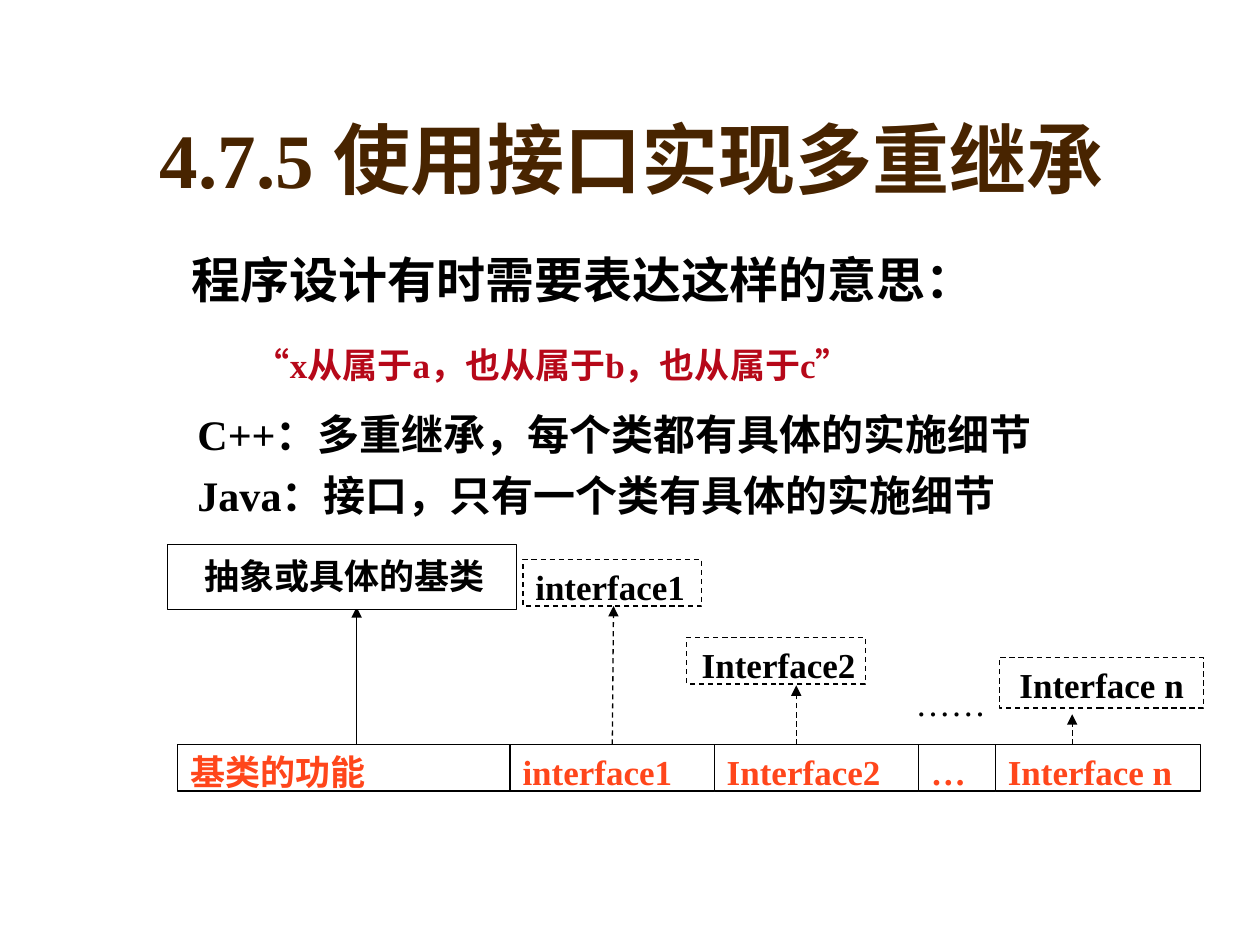
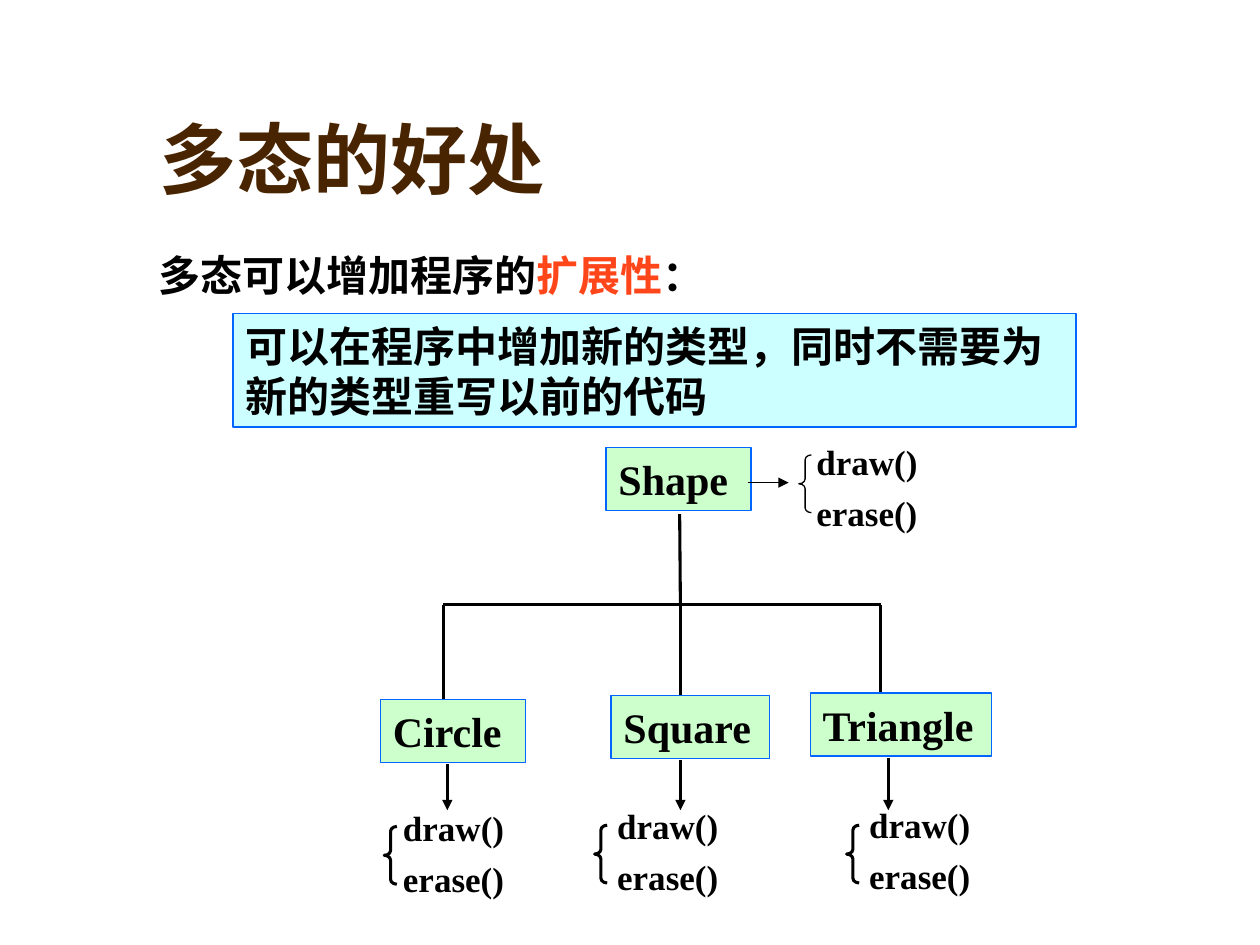
from itertools import accumulate

from lxml.etree import SubElement
from pptx import Presentation
from pptx.dml.color import RGBColor
from pptx.enum.dml import MSO_LINE
from pptx.enum.shapes import MSO_CONNECTOR, MSO_SHAPE
from pptx.enum.text import MSO_ANCHOR, PP_ALIGN
from pptx.oxml.ns import qn
from pptx.util import Pt

COLORS = {
    "title": "482400",
    "text": "000000",
    "accent": "FF461B",
    "quote": "B60819",
    "white": "FFFFFF",
    "note": "CCFFFF",
    "node": "CCFFCC",
    "border": "0066FF",
}
FONT = "Times New Roman"
TITLE_AREA = (84.2, 30.2, 612, 90)
INSET = 7.2

INHERITANCE_TITLE = "4.7.5 使用接口实现多重继承"
INTRO = "程序设计有时需要表达这样的意思："
QUOTE = "“x从属于a，也从属于b，也从属于c”"
LANGUAGES = [
    "C++：多重继承，每个类都有具体的实施细节",
    "Java：接口，只有一个类有具体的实施细节",
]
PARENTS = [
    ("抽象或具体的基类", (95.8, 311, 199.4, 37.4), (13.7, 2.2), False),
    ("interface1", (298.8, 319.7, 102.2, 26.6), (0, 0), True),
    ("Interface2", (392.4, 364.3, 102.2, 26.6), (1.4, 0), True),
    ("Interface n", (571, 375.8, 116.6, 28.8), (4.3, 0), True),
]
FEATURES = [
    ("基类的功能", 190),
    ("interface1", 116.7),
    ("Interface2", 116.7),
    ("…", 43.9),
    ("Interface n", 117.2),
]
FEATURE_LEFT, FEATURE_TOP, FEATURE_HEIGHT = 101.5, 425.5, 26.6
INHERITANCE_ARROWS = [
    (203.8, 203.8, 347, False),
    (349.9, 350.6, 346.3, True),
    (455, 455, 391.7, True),
    (612.7, 612.7, 408.2, True),
]

POLYMORPHISM_TITLE = "多态的好处"
BENEFIT = [("多态可以增加程序的", "text"), ("扩展性", "accent"), ("：", "text")]
NOTE = "可以在程序中增加新的类型，同时不需要为新的类型重写以前的代码"
METHODS = ["draw()", "erase()"]
NODE_HEIGHT = 36
ROOT = ("Shape", 346.3, 255.6, 82.8)
BUS_Y = 345.6
CHILDREN = [
    {"name": "Circle", "left": 217.4, "top": 399.6, "width": 82.8,
     "branch": 253.4, "arrow": 255.6, "brace": (219.6, 472.3), "methods": (223.2, 457.2)},
    {"name": "Square", "left": 349.2, "top": 397.4, "width": 90.7,
     "branch": 388.8, "arrow": 388.8, "brace": (339.8, 471.6), "methods": (345.6, 456.1)},
    {"name": "Triangle", "left": 463, "top": 396, "width": 103.7,
     "branch": 503.3, "arrow": 507.6, "brace": (483.8, 471.6), "methods": (489.6, 455.8)},
]


def color(name):
    return RGBColor.from_string(COLORS[name])


def style_spans(para, size, tone="text", bold=True):
    for span in para.runs:
        span.font.name = FONT
        span.font.size = Pt(size)
        span.font.bold = bold
        span.font.color.rgb = color(tone)


def write_lines(box, lines, size, tone="text", gap=0, bold=True, offset=(0, 0)):
    frame = box.text_frame
    frame.word_wrap = True
    frame.vertical_anchor = MSO_ANCHOR.TOP
    frame.margin_left = Pt(INSET + offset[0])
    frame.margin_top = Pt(INSET / 2 + offset[1])
    frame.margin_right = Pt(0)
    frame.text = "\n".join(lines)
    for index, para in enumerate(frame.paragraphs):
        para.alignment = PP_ALIGN.LEFT
        para.space_before = Pt(gap if index else 0)
        style_spans(para, size, tone, bold)


def add_text(page, area, lines, size, **style):
    box = page.shapes.add_textbox(*map(Pt, area))
    write_lines(box, lines, size, **style)
    return box


def add_box(page, area, text, size, fill="white", border="text", dashed=False, **style):
    box = page.shapes.add_shape(MSO_SHAPE.RECTANGLE, *map(Pt, area))
    box.shadow.inherit = False
    box.fill.solid()
    box.fill.fore_color.rgb = color(fill)
    box.line.color.rgb = color(border)
    box.line.width = Pt(0.75)
    if dashed:
        box.line.dash_style = MSO_LINE.DASH
    write_lines(box, [text], size, **style)
    return box


def add_line(page, start, end, width=1.75, dashed=False, arrow=False):
    line = page.shapes.add_connector(MSO_CONNECTOR.STRAIGHT, *map(Pt, start + end))
    line.line.color.rgb = color("text")
    line.line.width = Pt(width)
    if dashed:
        line.line.dash_style = MSO_LINE.DASH
    if arrow:
        SubElement(line.line._get_or_add_ln(), qn("a:tailEnd"), type="triangle")
    SubElement(line._element.spPr, qn("a:effectLst"))


def add_methods(page, brace_at, text_at, width=1.75):
    brace = page.shapes.add_shape(MSO_SHAPE.LEFT_BRACE, *map(Pt, brace_at + (7.2, 33)))
    brace.adjustments[0] = 0.38
    brace.shadow.inherit = False
    brace.fill.background()
    brace.line.color.rgb = color("text")
    brace.line.width = Pt(width)
    add_text(page, text_at + (94, 60.5), METHODS, 20, gap=5)


def add_node(page, name, left, top, width):
    add_box(page, (left, top, width, NODE_HEIGHT), name, 24, "node", "border")


def add_page(deck, title):
    page = deck.slides.add_slide(deck.slide_layouts[5])
    box = page.shapes.title
    box.left, box.top, box.width, box.height = map(Pt, TITLE_AREA)
    write_lines(box, [title], 44, "title")
    box.text_frame.vertical_anchor = MSO_ANCHOR.BOTTOM
    return page


def build_inheritance(deck):
    page = add_page(deck, INHERITANCE_TITLE)
    body = add_text(page, (83.5, 139, 612, 90), [INTRO, QUOTE], 28, gap=20)
    intro, quote = body.text_frame.paragraphs
    for para, indent in ((intro, 19), (quote, 55)):
        para._p.get_or_add_pPr().set("marL", str(Pt(indent)))
    style_spans(quote, 20, "quote")
    add_text(page, (105.8, 229.7, 520, 71.3), LANGUAGES, 24, gap=6)

    for start_x, end_x, end_y, dashed in INHERITANCE_ARROWS:
        add_line(page, (start_x, FEATURE_TOP), (end_x, end_y), 0.75, dashed, True)
    for name, area, offset, dashed in PARENTS:
        add_box(page, area, name, 20, dashed=dashed, offset=offset)
    add_text(page, (516.2, 385.9, 58.3, 25.9), ["……"], 20, bold=False)

    lefts = accumulate((width for _, width in FEATURES), initial=FEATURE_LEFT)
    for (name, width), left in zip(FEATURES, lefts):
        add_box(page, (left, FEATURE_TOP, width, FEATURE_HEIGHT), name, 20, tone="accent")


def build_polymorphism(deck):
    page = add_page(deck, POLYMORPHISM_TITLE)
    text = "".join(part for part, _ in BENEFIT)
    body = add_text(page, (83.5, 139, 612, 40), [text], 24)
    para = body.text_frame.paragraphs[0]
    para.clear()
    for part, tone in BENEFIT:
        para.add_run().text = part
    style_spans(para, 24)
    for span, (_, tone) in zip(para.runs, BENEFIT):
        span.font.color.rgb = color(tone)
    note = add_box(page, (133.2, 179.3, 481.7, 64.8), NOTE, 24, "note", "border")
    note.text_frame.margin_right = Pt(INSET)
    note.text_frame.vertical_anchor = MSO_ANCHOR.MIDDLE

    add_node(page, *ROOT)
    add_line(page, (427.7, 275.8), (450.7, 275.8), 0.75, arrow=True)
    add_methods(page, (456.5, 260), (459.4, 248.4), 0.75)
    add_line(page, (388.4, 293.8), (388.8, BUS_Y))
    add_line(page, (CHILDREN[0]["branch"], BUS_Y), (CHILDREN[-1]["branch"], BUS_Y))
    for child in CHILDREN:
        top, bottom = child["top"], child["top"] + NODE_HEIGHT
        add_line(page, (child["branch"], BUS_Y), (child["branch"], top))
        add_node(page, child["name"], child["left"], top, child["width"])
        add_line(page, (child["arrow"], bottom + 1), (child["arrow"], 463), arrow=True)
        add_methods(page, child["brace"], child["methods"])


def main():
    deck = Presentation()
    deck.slide_width, deck.slide_height = Pt(720), Pt(540)
    build_inheritance(deck)
    build_polymorphism(deck)
    deck.save("out.pptx")


if __name__ == "__main__":
    main()
